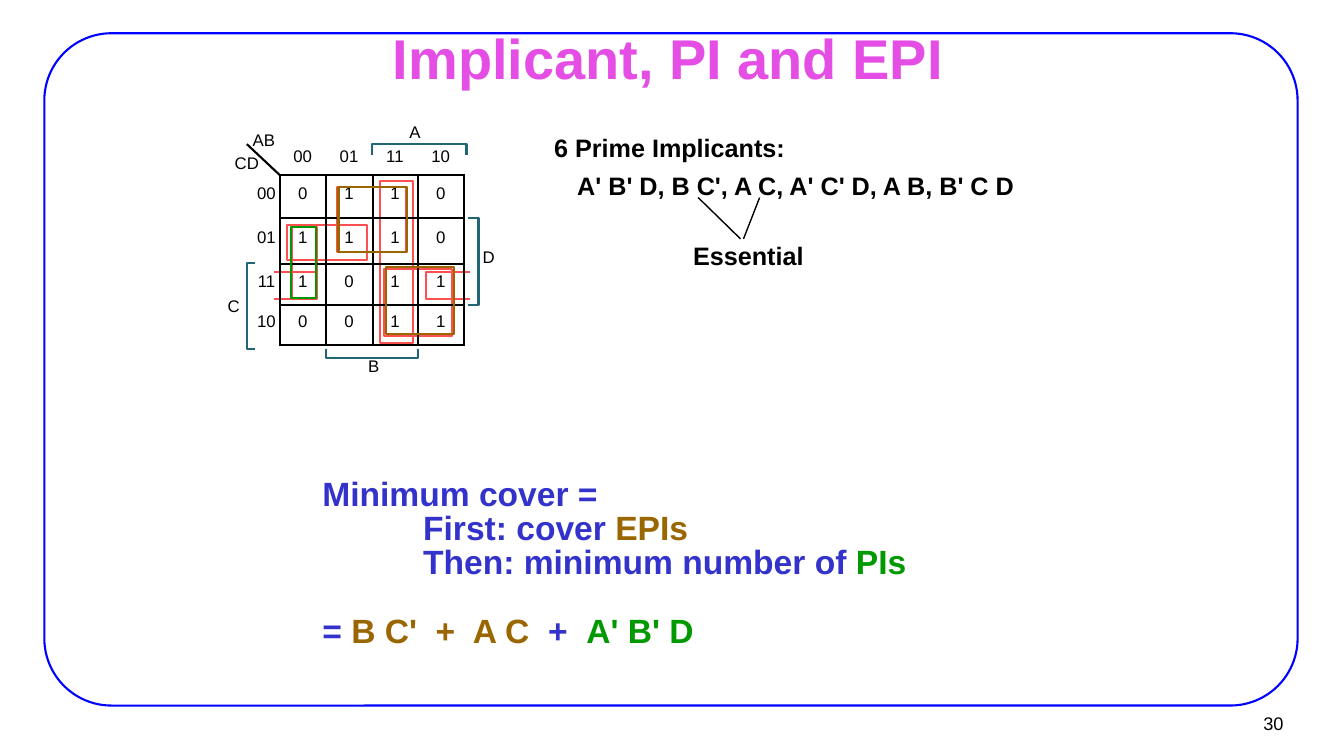
import itertools
import lxml.etree
import pptx
import pptx.util
import pptx.dml.color
import pptx.enum.shapes
import pptx.enum.text
import pptx.oxml.ns

THEME = {
    "font": "Arial",
    "size": {"title": 40, "cover": 24, "terms": 18, "page": 13, "map": 12},
    "line": {"outline": 1.5, "pointer": 1},
    "black": "000000", "title": "E44EE4", "frame": "0000FF", "prime": "FF5050",
    "bracket": "226577", "cover": "3333CC", "essential": "996600", "chosen": "009900",
}
SLIDE = (13.34, 7.5)
FRAME = (0.44, 0.33, 12.44, 6.67)
TITLE = ("Implicant, PI and EPI", (3.83, 0.21, 5.6, 0.72))
PAGE = ("30", (12.02, 6.99, 0.81, 0.37))

KARNAUGH = [
    ["", "00", "01", "11", "10"],
    ["00", "0", "1", "1", "0"],
    ["01", "1", "1", "1", "0"],
    ["11", "1", "0", "1", "1"],
    ["10", "0", "0", "1", "1"],
]
MAP_CORNER = (2.45, 1.43)
COLUMNS = [0.33, 0.46, 0.46, 0.45, 0.46]
ROWS = [0.31, 0.42, 0.46, 0.41, 0.39]

PRIME_RINGS = {
    "B C'": ((2, 1, 2, 2), (0.11, 0.12, 0.12, 0.12)),
    "A B": ((3, 1, 1, 4), (0.07, 0.06, 0.05, 0.02)),
    "A' B' D": ((1, 2, 1, 2), (0.12, 0.09, 0.09, 0.07)),
    "A' C' D": ((1, 2, 2, 1), (0.07, 0.07, 0.06, 0.04)),
    "A C": ((3, 3, 2, 2), (0.11, 0.05, 0.12, 0.09)),
}
COVER_RINGS = [("B C'", "essential", 0.01, 0), ("A C", "essential", 0.02, -0.02),
               ("A' B' D", "chosen", -0.01, 0)]
OPEN_SIDES = ["left", "top", "right", "bottom"]
WRAPPED_RING = [((2.72, 2.7, 0.43, 0.27), "left"), ((4.23, 2.7, 0.44, 0.27), "right")]
BRACKETS = [((3.69, 1.43, 0.94, 0.11), "bottom"), ((2.45, 2.61, 0.08, 0.85), "right"),
            ((3.24, 3.46, 0.91, 0.09), "top"), ((4.65, 2.16, 0.1, 0.87), "left")]
VARIABLES = [("A", 4.12, 1.31), ("B", 3.71, 3.63), ("C", 2.32, 3.03), ("D", 4.85, 2.55),
             ("AB", 2.62, 1.39), ("CD", 2.45, 1.62)]
VARIABLE_SIZE = (0.3, 0.2)

TERMS = [("6 Prime Implicants:", (5.43, 1.33, 2.7, 0.31)),
         ("A' B' D, B C', A C, A' C' D, A B, B' C D", (5.66, 1.71, 4.8, 0.31)),
         ("Essential", (6.81, 2.4, 1.5, 0.57))]
POINTERS = [((7.38, 2.37), (7.54, 1.96)), ((7.35, 2.37), (6.93, 1.96))]
COVER_AREA = (3.13, 4.72, 7.71, 1.76)
COVER = [
    (0, 0, [("Minimum cover =", "cover")]),
    (1, 0, [("First: cover ", "cover"), ("EPIs", "essential")]),
    (1, 0, [("Then: minimum number of ", "cover"), ("PIs", "chosen")]),
    (0, 24.5, [("= ", "cover"), ("B C'  +  A C", "essential"), ("  +  ", "cover"),
               ("A' B' D", "chosen")]),
]

ALIGN = pptx.enum.text.PP_ALIGN
ANCHOR = pptx.enum.text.MSO_ANCHOR
SHAPE = pptx.enum.shapes.MSO_SHAPE
qn = pptx.oxml.ns.qn


def inches(lengths):
    return [pptx.util.Inches(length) for length in lengths]


def color(name):
    return pptx.dml.color.RGBColor.from_string(THEME[name])


def assign(target, values):
    for name, value in values.items():
        setattr(target, name, value)


def margins(left, top, right, bottom):
    names = ["margin_left", "margin_top", "margin_right", "margin_bottom"]
    return dict(zip(names, inches([left, top, right, bottom])))


def write(frame, lines, size, bold=False, align=ALIGN.LEFT, spacing=1.0):
    for index, (level, before, runs) in enumerate(lines):
        paragraph = frame.add_paragraph() if index else frame.paragraphs[0]
        assign(paragraph, {"alignment": align, "line_spacing": spacing,
                           "space_before": pptx.util.Pt(before)})
        if level:
            paragraph._p.get_or_add_pPr().set("marL", str(pptx.util.Inches(level)))
        for wording, tint in runs:
            run = paragraph.add_run()
            run.text = wording
            assign(run.font, {"name": THEME["font"], "bold": bold,
                              "size": pptx.util.Pt(THEME["size"][size])})
            run.font.color.rgb = color(tint)


def add_text(slide, area, lines, size, inset=(0.07, 0.03), wrap=True,
             anchor=ANCHOR.TOP, **style):
    frame = slide.shapes.add_textbox(*inches(area)).text_frame
    assign(frame, {"word_wrap": wrap, "vertical_anchor": anchor, **margins(*inset, *inset)})
    write(frame, lines, size, **style)


def outline(shape, tint):
    shape.shadow.inherit = False
    shape.fill.background()
    shape.line.color.rgb = color(tint)
    shape.line.width = pptx.util.Pt(THEME["line"]["outline"])


def add_ring(slide, implicant, tint, dx=0, dy=0):
    (column, row, across, down), (left, top, right, bottom) = PRIME_RINGS[implicant]
    x = MAP_CORNER[0] + sum(COLUMNS[:column]) + left + dx
    y = MAP_CORNER[1] + sum(ROWS[:row]) + top + dy
    width = sum(COLUMNS[column:column + across]) - left - right
    height = sum(ROWS[row:row + down]) - top - bottom
    outline(slide.shapes.add_shape(SHAPE.RECTANGLE, *inches([x, y, width, height])), tint)


def add_open_box(slide, area, open_side, tint):
    x, y, width, height = area
    corners = [(x, y), (x + width, y), (x + width, y + height), (x, y + height)]
    first = OPEN_SIDES.index(open_side)
    start, *rest = [inches(point) for point in corners[first:] + corners[:first]]
    builder = slide.shapes.build_freeform(*start)
    builder.add_line_segments(rest, close=False)
    outline(builder.convert_to_shape(), tint)


def add_line(slide, start, end, weight):
    line = slide.shapes.add_connector(pptx.enum.shapes.MSO_CONNECTOR.STRAIGHT,
                                      *inches(start + end))
    line.line.color.rgb = color("black")
    line.line.width = pptx.util.Pt(THEME["line"][weight])
    lxml.etree.SubElement(line._element.spPr, qn("a:effectLst"))


def add_borders(cell, sides):
    properties = cell._tc.get_or_add_tcPr()
    for index, side in enumerate(sides):
        border = lxml.etree.Element(qn("a:ln" + side))
        border.set("w", str(pptx.util.Pt(THEME["line"]["outline"])))
        fill = lxml.etree.SubElement(border, qn("a:solidFill"))
        lxml.etree.SubElement(fill, qn("a:srgbClr")).set("val", THEME["black"])
        properties.insert(index, border)


def add_map(slide):
    area = [*MAP_CORNER, sum(COLUMNS), sum(ROWS)]
    table = slide.shapes.add_table(len(ROWS), len(COLUMNS), *inches(area)).table
    assign(table, {"first_row": False, "horz_banding": False})
    style = table._tbl.tblPr.find(qn("a:tableStyleId"))
    style.text = "{2D5ABB26-0587-4C30-8999-92F81FD0307C}"
    for column, width in zip(table.columns, inches(COLUMNS)):
        column.width = width
    for row, height in zip(table.rows, inches(ROWS)):
        row.height = height
    for r, c in itertools.product(range(len(ROWS)), range(len(COLUMNS))):
        cell = table.cell(r, c)
        inset = (0, 0, 0.01, 0.06) if c else (0.06, 0, 0, 0.06)
        assign(cell, {"vertical_anchor": ANCHOR.MIDDLE, **margins(*inset)})
        cell.fill.background()
        runs = [(KARNAUGH[r][c], "black")] if KARNAUGH[r][c] else []
        write(cell.text_frame, [(0, 0, runs)], "map", align=ALIGN.CENTER)
        if not runs:
            ending = lxml.etree.SubElement(cell.text_frame.paragraphs[0]._p, qn("a:endParaRPr"))
            ending.set("sz", str(THEME["size"]["map"] * 100))
        bordered = {"L": r and c, "R": r, "T": r and c, "B": c}
        add_borders(cell, [side for side, shown in bordered.items() if shown])


def main():
    deck = pptx.Presentation()
    assign(deck, dict(zip(["slide_width", "slide_height"], inches(SLIDE))))
    slide = deck.slides.add_slide(deck.slide_layouts[5])

    heading, area = TITLE
    title = slide.shapes.title
    assign(title, dict(zip(["left", "top", "width", "height"], inches(area))))
    assign(title.text_frame, {"word_wrap": True, "vertical_anchor": ANCHOR.MIDDLE,
                              **margins(0.07, 0.03, 0.07, 0.03)})
    write(title.text_frame, [(0, 0, [(heading, "title")])], "title", True, ALIGN.CENTER)

    frame = slide.shapes.add_shape(SHAPE.ROUNDED_RECTANGLE, *inches(FRAME))
    frame.adjustments[0] = 0.1
    outline(frame, "frame")
    number, area = PAGE
    add_text(slide, area, [(0, 0, [(number, "black")])], "page", (0.09, 0.04),
             anchor=ANCHOR.MIDDLE, align=ALIGN.RIGHT)

    for wording, area in TERMS:
        add_text(slide, area, [(0, 0, [(wording, "black")])], "terms", bold=True, spacing=0.85)
    for start, end in POINTERS:
        add_line(slide, start, end, "pointer")
    add_text(slide, COVER_AREA, COVER, "cover", bold=True, spacing=0.85)

    for implicant in PRIME_RINGS:
        add_ring(slide, implicant, "prime")
    for area, side in WRAPPED_RING:
        add_open_box(slide, area, side, "prime")
    add_map(slide)
    corner_end = (MAP_CORNER[0] + COLUMNS[0], MAP_CORNER[1] + ROWS[0])
    add_line(slide, MAP_CORNER, corner_end, "outline")
    for area, side in BRACKETS:
        add_open_box(slide, area, side, "bracket")
    width, height = VARIABLE_SIZE
    for variable, x, y in VARIABLES:
        add_text(slide, (x - width / 2, y - height / 2, width, height),
                 [(0, 0, [(variable, "black")])], "map", (0, 0), False, align=ALIGN.CENTER)
    for implicant, tint, dx, dy in COVER_RINGS:
        add_ring(slide, implicant, tint, dx, dy)
    deck.save("out.pptx")


if __name__ == "__main__":
    main()
